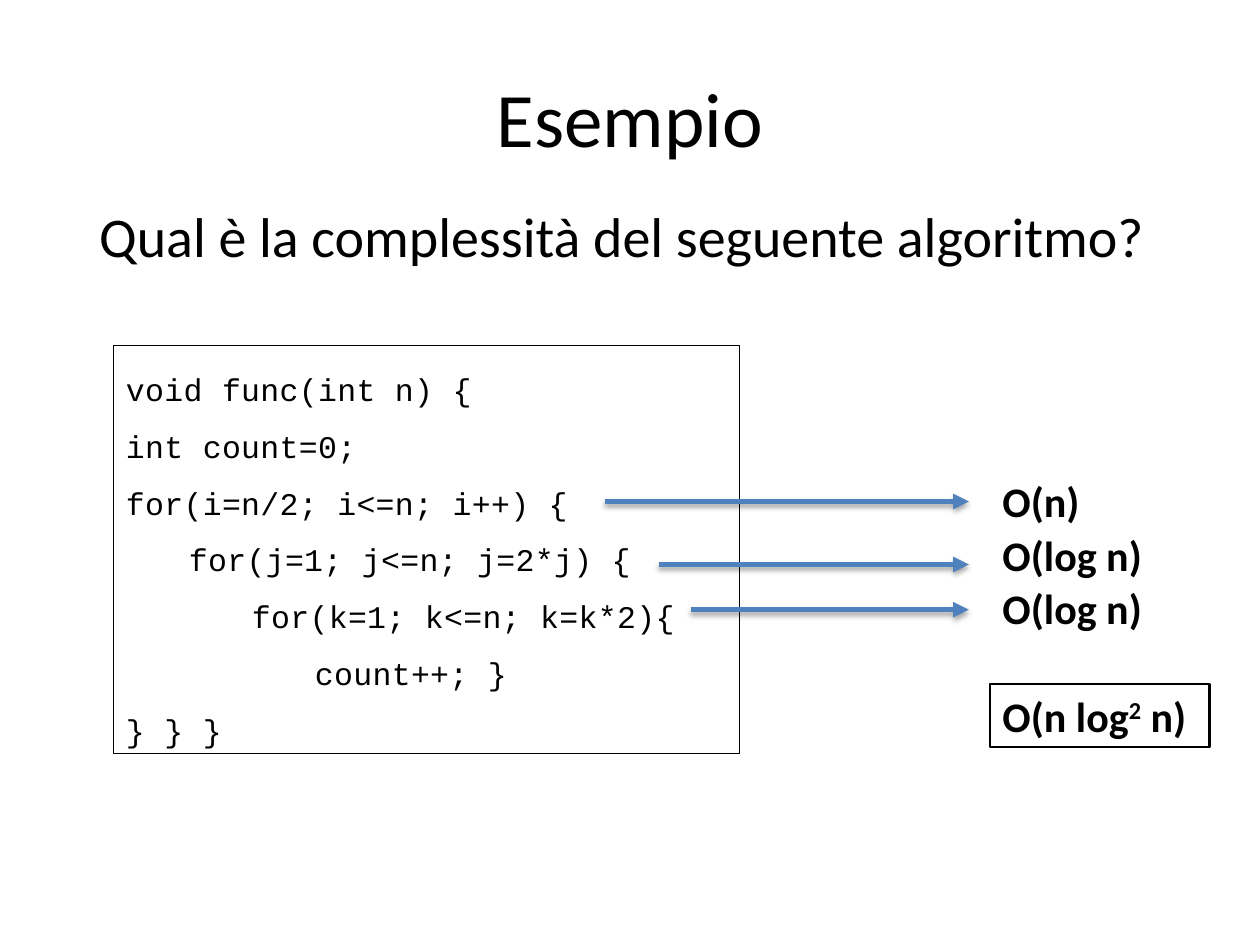
"""Build a slide on the complexity of three nested loops."""
from lxml import etree
from pptx import Presentation
from pptx import util as u
from pptx.dml.color import RGBColor
from pptx.enum import shapes, text
from pptx.oxml import ns

TITLE = "Esempio"
QUESTION = "Qual è la complessità del seguente algoritmo?"
CODE = [
    (0, "void func(int n) {"),
    (0, "int count=0;"),
    (0, "for(i=n/2; i<=n; i++) {"),
    (1, "for(j=1; j<=n; j=2*j) {"),
    (2, "for(k=1; k<=n; k=k*2){"),
    (3, "count++; }"),
    (0, "} } }"),
]
COSTS = [("O(n)", 12.19, 10.11), ("O(log n)", 13.28, 11.38), ("O(log n)", 13.92, 12.29)]
RESULT = [("O(n log", False), ("2", True), (" n)", False)]
BLACK, BLUE = "000000", "4F81BD"
INDENT, ANSWER_LEFT, ARROW_END = 1.27, 19.96, 19.53
COST_TOP, COST_STEP = 9.47, 1.07


def color(value):
    return RGBColor.from_string(value)


def style(span, size, font="Calibri", bold=False):
    span.font.size, span.font.name, span.font.bold = u.Pt(size), font, bold
    span.font.color.rgb = color(BLACK)


def add_box(page, left, top, width, height, border=None):
    box = page.shapes.add_textbox(u.Cm(left), u.Cm(top), u.Cm(width), u.Cm(height))
    box.text_frame.word_wrap = True
    box.text_frame.auto_size = text.MSO_AUTO_SIZE.SHAPE_TO_FIT_TEXT
    if border:
        box.line.color.rgb = color(BLACK)
        box.line.width = u.Pt(border)
    return box.text_frame


def add_spans(para, parts, size, bold=False):
    for words, raised in parts:
        span = para.add_run()
        span.text = words
        style(span, size, bold=bold)
        if raised:
            span.font._element.set("baseline", "30000")


def add_code(page):
    frame = add_box(page, 2.29, 6.96, 12.62, 8.23, 0.75)
    for index, (level, line) in enumerate(CODE):
        para = frame.paragraphs[0] if index == 0 else frame.add_paragraph()
        para.text = line
        para.line_spacing = 1.5
        para._p.get_or_add_pPr().set("marL", str(u.Cm(level * INDENT)))
        style(para.runs[0], 18, "Courier New")
        para.runs[0].font._element.set("spc", "20")


def add_arrow(page, left, height):
    arrow = page.shapes.add_connector(
        shapes.MSO_CONNECTOR.STRAIGHT, u.Cm(left), u.Cm(height), u.Cm(ARROW_END), u.Cm(height))
    arrow.line.color.rgb = color(BLUE)
    arrow.line.width = u.Pt(3)
    etree.SubElement(arrow.line._get_or_add_ln(), ns.qn("a:tailEnd"), type="triangle")
    effects = etree.SubElement(arrow._element.spPr, ns.qn("a:effectLst"))
    shadow = etree.SubElement(effects, ns.qn("a:outerShdw"), blurRad=str(u.Pt(3.1)),
                              dist=str(u.Pt(1.8)), dir="5400000", rotWithShape="0")
    tint = etree.SubElement(shadow, ns.qn("a:srgbClr"), val=BLACK)
    etree.SubElement(tint, ns.qn("a:alpha"), val="35000")


def main():
    deck = Presentation()
    deck.slide_width, deck.slide_height = u.Cm(25.4), u.Cm(19.05)
    page = deck.slides.add_slide(deck.slide_layouts[5])

    title = page.shapes.title
    title.left, title.top, title.width, title.height = map(u.Cm, (1.27, 0.76, 22.86, 3.18))
    title.text_frame.text = TITLE
    style(title.text_frame.paragraphs[0].runs[0], 44)

    question = add_box(page, 1.75, 3.94, 21.74, 1.63).paragraphs[0]
    question.alignment = text.PP_ALIGN.JUSTIFY
    add_spans(question, [(QUESTION, False)], 32)

    add_code(page)
    for row, (cost, left, height) in enumerate(COSTS):
        add_arrow(page, left, height)
        frame = add_box(page, ANSWER_LEFT, COST_TOP + row * COST_STEP, 3.53, 1.27)
        add_spans(frame.paragraphs[0], [(cost, False)], 24, True)
    result = add_box(page, ANSWER_LEFT, 13.79, 4.42, 1.27, 1.5)
    add_spans(result.paragraphs[0], RESULT, 24, True)
    deck.save("out.pptx")


if __name__ == "__main__":
    main()
